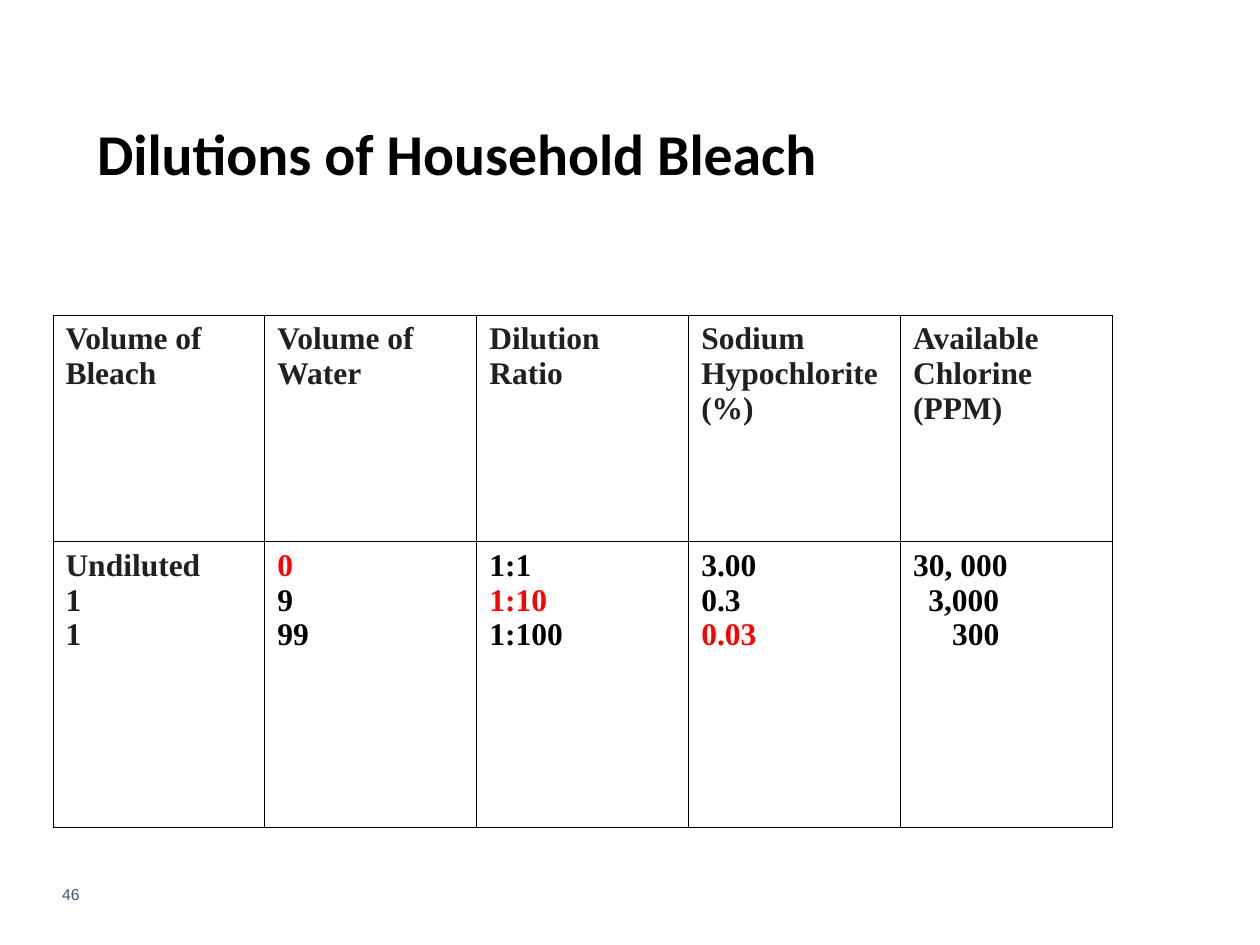
from typing import NamedTuple

from lxml.etree import SubElement
from pptx import Presentation
from pptx.dml.color import RGBColor
from pptx.enum.text import MSO_ANCHOR, PP_ALIGN
from pptx.oxml.ns import qn
from pptx.util import Inches, Pt

BLACK = RGBColor(0, 0, 0)
DARK = RGBColor(0x23, 0x1F, 0x20)
RED = RGBColor(0xFF, 0, 0)
SLATE = RGBColor(0x44, 0x54, 0x6A)


class Line(NamedTuple):
    text: str
    color: RGBColor = BLACK
    indent: float = 0


class Column(NamedTuple):
    head: str
    lines: list[Line]


COLUMNS = [
    Column("Volume of Bleach", [Line("Undiluted", DARK), Line("1", DARK), Line("1", DARK)]),
    Column("Volume of Water", [Line("0", RED), Line("9"), Line("99")]),
    Column("Dilution Ratio", [Line("1:1"), Line("1:10", RED), Line("1:100")]),
    Column("Sodium Hypochlorite(%)", [Line("3.00"), Line("0.3"), Line("0.03", RED)]),
    Column("Available Chlorine (PPM)",
           [Line("30, 000"), Line("3,000", indent=0.12), Line("300", indent=0.31)]),
]


def style(para, font: str, size: float, color: RGBColor, bold: bool = False) -> None:
    for run in para.runs:
        run.font.name = font
        run.font.size = Pt(size)
        run.font.bold = bold
        run.font.color.rgb = color


def border(cell) -> None:
    props = cell._tc.get_or_add_tcPr()
    for side in ("lnL", "lnR", "lnT", "lnB"):
        edge = SubElement(props, qn(f"a:{side}"), w=str(Pt(0.45)))
        fill = SubElement(edge, qn("a:solidFill"))
        SubElement(fill, qn("a:srgbClr"), val=str(BLACK))


def fill_cell(cell, lines: list[Line]) -> None:
    border(cell)
    cell.fill.background()
    cell.text_frame.text = "\n".join(line.text for line in lines)
    for para, line in zip(cell.text_frame.paragraphs, lines):
        style(para, "Times New Roman", 18, line.color, True)
        if line.indent:
            para._p.get_or_add_pPr().set("marL", str(Inches(line.indent)))


def add_title(slide) -> None:
    title = slide.shapes.title
    title.left, title.top = Inches(0.25), Inches(0.83)
    title.width, title.height = Inches(8.67), Inches(0.83)
    frame = title.text_frame
    frame.text = "Dilutions of Household Bleach"
    frame.margin_left = Inches(0.52)
    frame.vertical_anchor = MSO_ANCHOR.MIDDLE
    para = frame.paragraphs[0]
    para.alignment = PP_ALIGN.LEFT
    para.line_spacing = 0.9
    style(para, "Calibri", 33, BLACK, True)


def add_grid(slide) -> None:
    grid = slide.shapes.add_table(2, len(COLUMNS), Inches(0.42), Inches(2.5),
                                  Inches(8.41), Inches(4.07)).table
    grid.first_row = grid.horz_banding = False
    grid.rows[0].height, grid.rows[1].height = Inches(1.8), Inches(2.27)
    for i, col in enumerate(COLUMNS):
        fill_cell(grid.cell(0, i), [Line(col.head, DARK)])
        fill_cell(grid.cell(1, i), col.lines)


def add_number(slide) -> None:
    box = slide.shapes.add_textbox(Inches(0.09), Inches(6.83), Inches(0.64), Inches(0.53))
    frame = box.text_frame
    frame.word_wrap = True
    frame.vertical_anchor = MSO_ANCHOR.MIDDLE
    frame.text = "46"
    para = frame.paragraphs[0]
    para.alignment = PP_ALIGN.RIGHT
    style(para, "Arial", 9, SLATE)


def main() -> None:
    deck = Presentation()
    deck.slide_width, deck.slide_height = Inches(10), Inches(7.5)
    slide = deck.slides.add_slide(deck.slide_layouts[5])
    add_title(slide)
    add_grid(slide)
    add_number(slide)
    deck.save("out.pptx")


if __name__ == "__main__":
    main()
